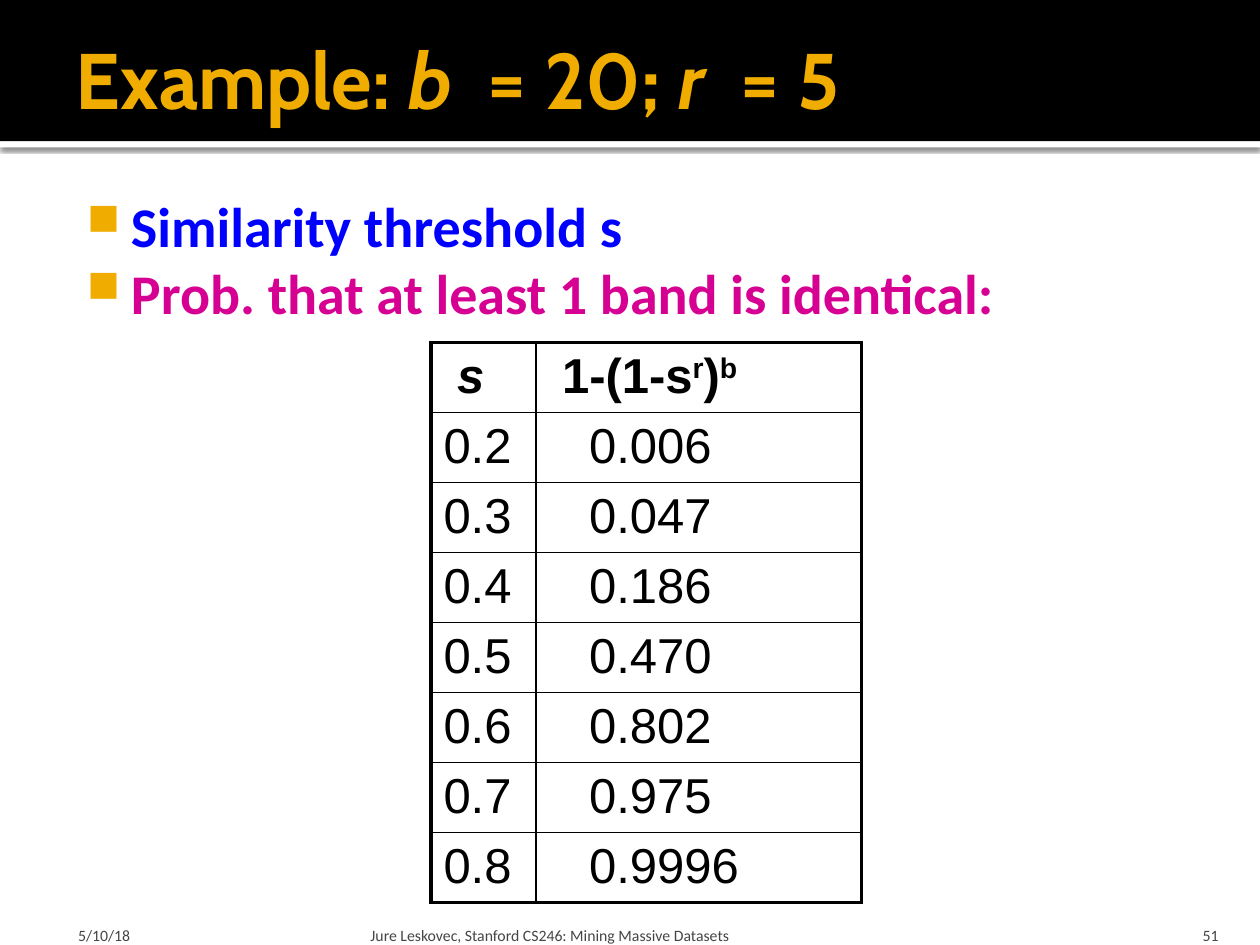
from dataclasses import dataclass
from lxml.etree import SubElement
from pptx import Presentation
from pptx.dml.color import RGBColor
from pptx.enum.shapes import MSO_SHAPE
from pptx.enum.text import MSO_ANCHOR, MSO_AUTO_SIZE, PP_ALIGN
from pptx.oxml import parse_xml
from pptx.oxml.ns import nsdecls, qn
from pptx.util import Pt


@dataclass
class Theme:
    black: str = "000000"
    white: str = "FFFFFF"
    gold: str = "F0AD00"
    blue: str = "0000FF"
    magenta: str = "D60093"
    gray: str = "454545"
    title: float = 45
    body: float = 32
    table: float = 28
    footer: float = 9


theme = Theme()


def add_runs(p, runs, color, **fmt):
    for text, attrs in runs:
        r = p.add_run()
        r.text = text
        for name, value in fmt.items():
            setattr(r.font, name, value)
        r.font.color.rgb = RGBColor.from_string(color)
        for name, value in attrs.items():
            r.font._element.set(name, value)


def format_frame(tf, anchor, margins):
    values = dict(zip(("margin_left", "margin_top", "margin_right", "margin_bottom"), map(Pt, margins)))
    values.update(word_wrap=True, auto_size=MSO_AUTO_SIZE.NONE, vertical_anchor=anchor)
    for name, value in values.items():
        setattr(tf, name, value)


prs = Presentation()
prs.slide_width, prs.slide_height = Pt(720), Pt(540)
s = prs.slides.add_slide(prs.slide_layouts[5])

bars = []
for top, height, color in [(80.64, 3.6, theme.white), (0, 80.64, theme.black)]:
    sp = s.shapes.add_shape(MSO_SHAPE.RECTANGLE, 0, Pt(top), Pt(720), Pt(height))
    sp.shadow.inherit = False
    sp.fill.solid()
    sp.fill.fore_color.rgb = RGBColor.from_string(color)
    sp.line.fill.background()
    bars.append(sp)

effects = bars[0]._element.spPr.find(qn("a:effectLst"))
shadow = SubElement(effects, qn("a:outerShdw"), blurRad=str(Pt(2.5)), dist=str(Pt(0.8)),
                    dir="5400000", algn="tl", rotWithShape="0")
shadow_color = SubElement(shadow, qn("a:srgbClr"), val=theme.black)
SubElement(shadow_color, qn("a:alpha"), val="60000")

title = s.shapes.title
title.left, title.top, title.width, title.height = Pt(36), Pt(5.76), Pt(648), Pt(77.76)
format_frame(title.text_frame, MSO_ANCHOR.MIDDLE, (7.2, 3.6, 3.6, 3.6))
p = title.text_frame.paragraphs[0]
p.alignment = PP_ALIGN.LEFT
wide = {"spc": "1000"}
italic = {"i": "1"}
title_runs = [("Example: ", {}), ("b", italic), (" ", wide), ("= 20; ", {}),
              ("r", italic), (" ", wide), ("= 5", {})]
add_runs(p, title_runs, theme.gold, name="Cabin", size=Pt(theme.title), bold=True)
s.shapes._spTree.append(title._element)

body = s.shapes.add_textbox(Pt(36), Pt(102.24), Pt(648), Pt(414))
tf = body.text_frame
format_frame(tf, MSO_ANCHOR.TOP, (4.32, 7.2, 7.2, 3.6))
bullets = [("Similarity threshold s", theme.blue),
           ("Prob. that at least 1 band is identical:", theme.magenta)]
for i, (text, color) in enumerate(bullets):
    p = tf.add_paragraph() if i else tf.paragraphs[0]
    pPr = p._p.get_or_add_pPr()
    pPr.set("marL", str(Pt(34.56)))
    pPr.set("indent", str(Pt(-25.2)))
    bullet_color = SubElement(pPr, qn("a:buClr"))
    SubElement(bullet_color, qn("a:srgbClr"), val=theme.gold)
    SubElement(pPr, qn("a:buSzPct"), val="80000")
    SubElement(pPr, qn("a:buChar"), char="■")
    add_runs(p, [(text, {})], color, name="Calibri", size=Pt(theme.body), bold=True)

footers = [
    (36, 167.76, (8.64, 3.6, 3.6, 0), PP_ALIGN.LEFT, "5/10/18"),
    (208.08, 433.44, (3.6, 3.6, 3.6, 0), PP_ALIGN.LEFT,
     "Jure Leskovec, Stanford CS246: Mining Massive Datasets"),
    (645.84, 57.6, (7.2, 3.6, 7.2, 0), PP_ALIGN.RIGHT, "51"),
]
for left, width, margins, align, text in footers:
    sp = s.shapes.add_textbox(Pt(left), Pt(518.4), Pt(width), Pt(21.6))
    format_frame(sp.text_frame, MSO_ANCHOR.BOTTOM, margins)
    p = sp.text_frame.paragraphs[0]
    p.alignment = align
    add_runs(p, [(text, {})], theme.gray, name="Calibri", size=Pt(theme.footer))

values = [("0.2", "0.006"), ("0.3", "0.047"), ("0.4", "0.186"), ("0.5", "0.470"),
          ("0.6", "0.802"), ("0.7", "0.975"), ("0.8", "0.9996")]
raised = {"baseline": "30000"}
header = ([("s", italic)], [("1-(1-s", {}), ("r", raised), (")", {}), ("b", raised)])
rows = [header] + [([(a, {})], [(b, {})]) for a, b in values]
last = len(rows) - 1
indents = {(True, 0): 15, (True, 1): 15, (False, 0): 7.2, (False, 1): 30.5}

table = s.shapes.add_table(len(rows), 2, Pt(246.24), Pt(195.84), Pt(246), Pt(40 * len(rows))).table
table.first_row = table.horz_banding = False
for column, width in zip(table.columns, (60, 186)):
    column.width = Pt(width)
for i, row in enumerate(rows):
    table.rows[i].height = Pt(40)
    for j, runs in enumerate(row):
        cell = table.cell(i, j)
        cell.fill.background()
        cell.margin_left = Pt(indents[i == 0, j])
        add_runs(cell.text_frame.paragraphs[0], runs, theme.black,
                 name="Arial", size=Pt(theme.table), bold=i == 0)
        outer = {"lnL": j == 0, "lnR": j == 1, "lnT": i == 0, "lnB": i == last}
        for k, (side, is_outer) in enumerate(outer.items()):
            width = Pt(2.25 if is_outer else 1)
            cell._tc.get_or_add_tcPr().insert(k, parse_xml(
                f'<a:{side} {nsdecls("a")} w="{width}"><a:solidFill>'
                f'<a:srgbClr val="{theme.black}"/></a:solidFill></a:{side}>'))

prs.save("out.pptx")
